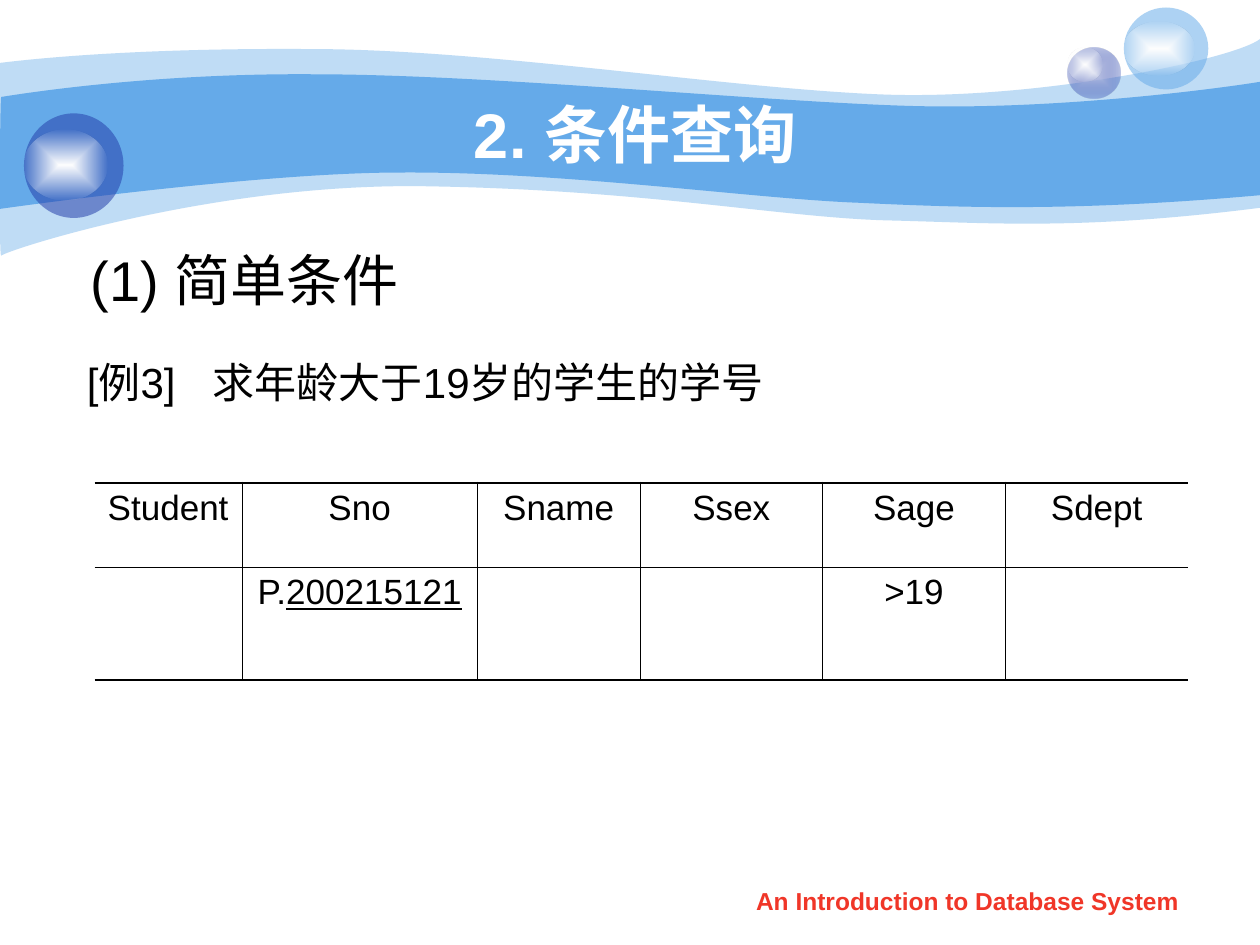
from lxml import etree
from pptx import Presentation
from pptx import util as u
from pptx.dml.color import RGBColor
from pptx.enum import shapes, text
from pptx.oxml.ns import qn

FONT = "Arial"
SKY, NAVY = "65AAE9", "233DA9"
GLOW = [("FFFFFF", 100), ("FEFEFE", 0)]
THIN, THICK = 0.45, 1.25

WAVES = [
    ([(SKY, 41)], [
        [(0, 0.5)],
        [(0.24, 0.47), (1.07, 0.38), (2.47, 0.39)],
        [(3.86, 0.39), (5.75, 0.7), (6.99, 0.75)],
        [(8.22, 0.8), (9.8, 0.47), (10, 0.31)],
        [(10, 1.65)],
        [(8.58, 1.83), (7.87, 1.77), (7.05, 1.75)],
        [(6.22, 1.73), (5.15, 1.51), (3.43, 1.48)],
        [(1.72, 1.44), (0.04, 1.99), (0.01, 2.03)],
        [(-0.01, 2.08), (0, 0.75), (0, 0.5)],
    ]),
    ([(SKY, 100)], [
        [(0.01, 0.77)],
        [(0.02, 0.77), (1.1, 0.58), (2.48, 0.59)],
        [(3.86, 0.59), (5.95, 0.8), (7.18, 0.84)],
        [(8.41, 0.88), (9.76, 0.69), (10, 0.65)],
        [(10, 1.55)],
        [(8.53, 1.68), (7.65, 1.65), (6.82, 1.61)],
        [(5.99, 1.58), (4.47, 1.36), (3.17, 1.37)],
        [(2.03, 1.37), (-0.02, 1.66), (-0.01, 1.66)],
        [(0, 1.66), (0, 0.77), (0.01, 0.77)],
    ]),
]
BUBBLES = [
    [((8.47, 0.38, 0.42, 0.4), [("C6CCE8", 100), (NAVY, 31)]),
     ((8.47, 0.38, 0.28, 0.27), GLOW)],
    [((8.92, 0.06, 0.67, 0.65), [(SKY, 53)]),
     ((8.92, 0.17, 0.56, 0.43), GLOW)],
    [((0.19, 0.9, 0.79, 0.83), [(NAVY, 53)]),
     ((0.19, 1.03, 0.66, 0.56), GLOW)],
]
TITLE = "2. 条件查询"
BODY = [("(1) 简单条件", 32, 0, 0.03), ("[例3]\t求年龄大于19岁的学生的学号", 24, 31, 0)]
COLUMNS = [1.17, 1.87, 1.29, 1.45, 1.45, 1.45]
ROWS = [0.67, 0.9]
CELLS = [
    [["Student"], ["Sno"], ["Sname"], ["Ssex"], ["Sage"], ["Sdept"]],
    [[], ["P.", "200215121"], [], [], [">19"], []],
]
FOOTER = "An Introduction to Database System"


def color(value):
    return RGBColor.from_string(value)


def inches(values):
    return [u.Inches(value) for value in values]


def add(parent, tag, **attributes):
    child = etree.SubElement(parent, qn(tag))
    for name, value in attributes.items():
        child.set(name, str(value))
    return child


def add_color(parent, value, opacity):
    node = add(parent, "a:srgbClr", val=value)
    if opacity < 100:
        add(node, "a:alpha", val=opacity * 1000)


def paint(shape, stops):
    shape.shadow.inherit = False
    shape.line.fill.background()
    shape.fill.solid()
    shape.fill.fore_color.rgb = color(stops[0][0])
    fill = shape._element.spPr.find(qn("a:solidFill"))
    fill.clear()
    if len(stops) == 1:
        add_color(fill, *stops[0])
        return
    fill.tag = qn("a:gradFill")
    stop_list = add(fill, "a:gsLst")
    for position, stop in zip((0, 100000), stops):
        add_color(add(stop_list, "a:gs", pos=position), *stop)
    add(add(fill, "a:path", path="rect"), "a:fillToRect",
        l=50000, t=50000, r=50000, b=50000)


def add_wave(slide, stops, segments):
    points = [inches(point) for segment in segments for point in segment]
    builder = slide.shapes.build_freeform(*points[0])
    builder.add_line_segments(points[1:], close=True)
    wave = builder.convert_to_shape()
    lines = iter(list(wave._element.iter(qn("a:lnTo"))))
    for segment in segments[1:]:
        parts = [next(lines) for _ in segment]
        if len(parts) == 3:
            curve = etree.Element(qn("a:cubicBezTo"))
            parts[0].addprevious(curve)
            for part in parts:
                curve.append(part[0])
                part.getparent().remove(part)
    paint(wave, stops)


def write(paragraph, content, size, value="000000", bold=False, underline=False,
          align=text.PP_ALIGN.CENTER):
    paragraph.alignment = align
    run = paragraph.add_run()
    run.text = content
    font = run.font
    font.name, font.size, font.bold, font.underline = FONT, u.Pt(size), bold, underline
    font.color.rgb = color(value)


def place(slide, shape, box):
    shape.left, shape.top, shape.width, shape.height = inches(box)
    slide.shapes._spTree.append(shape._element)
    frame = shape.text_frame
    frame.word_wrap = True
    frame.auto_size = text.MSO_AUTO_SIZE.NONE
    return frame


def add_title(slide):
    frame = place(slide, slide.shapes.title, (1, 0.75, 8.08, 0.62))
    frame.vertical_anchor = text.MSO_ANCHOR.MIDDLE
    write(frame.paragraphs[0], TITLE, 36, "FFFFFF", bold=True)


def add_body(slide):
    frame = place(slide, slide.placeholders[1], (0.5, 2, 8.67, 1.36))
    frame.margin_left = u.Inches(0.19)
    for index, (content, size, before, indent) in enumerate(BODY):
        paragraph = frame.add_paragraph() if index else frame.paragraphs[0]
        paragraph.line_spacing = 0.8
        paragraph.space_before = u.Pt(before)
        properties = paragraph._p.get_or_add_pPr()
        properties.set("marL", str(u.Inches(indent)))
        properties.set("indent", "0")
        add(properties, "a:buNone")
        if "\t" in content:
            add(add(properties, "a:tabLst"), "a:tab", pos=u.Inches(1.25), algn="l")
        write(paragraph, content, size, align=text.PP_ALIGN.JUSTIFY)


def set_border(cell, side, width):
    line = add(cell._tc.get_or_add_tcPr(), "a:ln" + side, w=u.Pt(width))
    if width:
        add_color(add(line, "a:solidFill"), "000000", 100)
    else:
        add(line, "a:noFill")


def add_grid(slide):
    frame = slide.shapes.add_table(len(ROWS), len(COLUMNS), *inches(
        (0.75, 3.83, sum(COLUMNS), sum(ROWS))))
    table = frame.table
    table.first_row = table.horz_banding = False
    for column, width in zip(table.columns, COLUMNS):
        column.width = u.Inches(width)
    for i, height in enumerate(ROWS):
        table.rows[i].height = u.Inches(height)
        for j, pieces in enumerate(CELLS[i]):
            cell = table.cell(i, j)
            set_border(cell, "L", THIN if j else 0)
            set_border(cell, "R", THIN if j < len(COLUMNS) - 1 else 0)
            set_border(cell, "T", THIN if i else THICK)
            set_border(cell, "B", THIN if i < len(ROWS) - 1 else THICK)
            cell.fill.background()
            for k, piece in enumerate(pieces):
                write(cell.text_frame.paragraphs[0], piece, 20, underline=k > 0)


def main():
    presentation = Presentation()
    presentation.slide_width, presentation.slide_height = inches((10, 7.5))
    slide = presentation.slides.add_slide(presentation.slide_layouts[1])
    for stops, segments in WAVES:
        add_wave(slide, stops, segments)
    for bubble in BUBBLES:
        group = slide.shapes.add_group_shape()
        for box, stops in bubble:
            paint(group.shapes.add_shape(shapes.MSO_SHAPE.OVAL, *inches(box)), stops)
    add_title(slide)
    add_body(slide)
    add_grid(slide)
    box = (5.71, 6.98, 3.94, 0.35)
    footer = place(slide, slide.shapes.add_textbox(*inches(box)), box)
    write(footer.paragraphs[0], FOOTER, 14, "F03628", bold=True)
    presentation.save("out.pptx")


if __name__ == "__main__":
    main()
